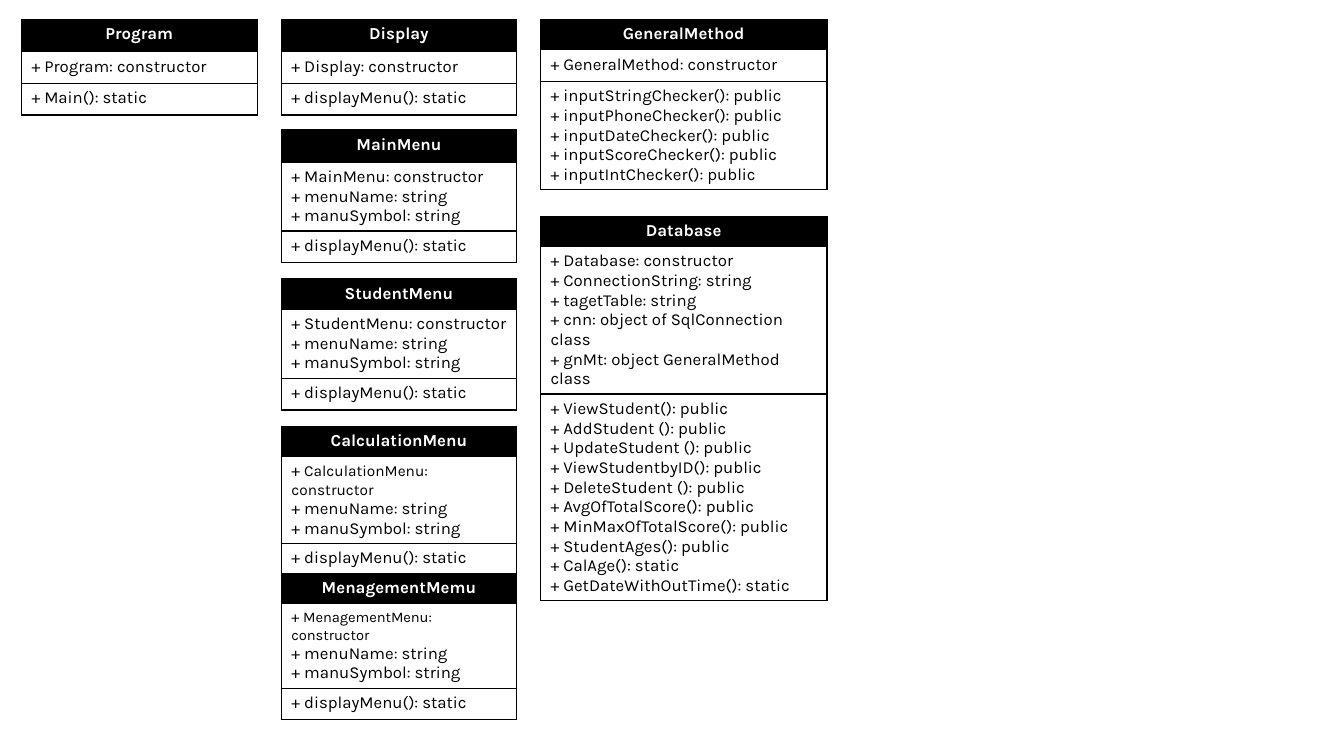
from copy import deepcopy
from dataclasses import dataclass

from lxml import etree
from pptx import Presentation
from pptx.dml.color import RGBColor
from pptx.enum.text import PP_ALIGN
from pptx.oxml.ns import qn
from pptx.util import Cm, Pt

CENTER, LEFT = PP_ALIGN.CENTER, PP_ALIGN.LEFT


@dataclass(frozen=True)
class Theme:
    font: str = "Karla"
    ink: str = "000000"
    paper: str = "FFFFFF"
    size: float = 12
    border: float = 1


THEME = Theme()

# Column of the diagram: left edge and width in cm
PROGRAM_COL = (0.54, 5.94)
MENU_COL = (7.09, 5.93)
SERVICE_COL = (13.62, 7.22)

# Row heights in cm
TALL_HEADER, SHORT_HEADER = 0.81, 0.76
MIN_ROW, LINE, PADDING = 0.8, 0.49, 0.25

TOP = 0.49
DISPLAY_METHOD = ["+ displayMenu(): static"]

# Menu class: name, constructor, sizes of its "+ " and its text, top in cm, header height
MENUS = [
    ("MainMenu", "MainMenu", (12, 12), 3.27, TALL_HEADER),
    ("StudentMenu", "StudentMenu", (12, 12), 7.03, SHORT_HEADER),
    ("CalculationMenu", "CalculationMenu", (12, 11), 10.74, SHORT_HEADER),
    ("MenagementMemu", "MenagementMenu", (11, 10.5), 14.45, SHORT_HEADER),
]

# One string per paragraph; \v is a line break inside it
CHECKER_METHODS = [
    "+ inputStringChecker(): public",
    "+ inputPhoneChecker(): public",
    "+ inputDateChecker(): public",
    "+ inputScoreChecker(): public\v+ inputIntChecker(): public",
]
DATABASE_FIELDS = [
    "+ Database: constructor",
    "+ ConnectionString: string",
    "+ tagetTable: string",
    "+ cnn: object of SqlConnection class",
    "+ gnMt: object GeneralMethod class",
]
DATABASE_METHODS = [
    "+ ViewStudent(): public",
    "+ AddStudent (): public",
    "+ UpdateStudent (): public",
    "+ ViewStudentbyID(): public\v+ DeleteStudent (): public",
    "+ AvgOfTotalScore(): public\v+ MinMaxOfTotalScore(): public"
    "\v+ StudentAges(): public\v+ CalAge(): static",
    "+ GetDateWithOutTime(): static",
]


def set_borders(cell):
    tcPr = cell._tc.get_or_add_tcPr()
    for side in ("lnL", "lnR", "lnT", "lnB"):
        ln = etree.SubElement(tcPr, qn(f"a:{side}"), w=str(Pt(THEME.border)))
        fill = etree.SubElement(ln, qn("a:solidFill"))
        etree.SubElement(fill, qn("a:srgbClr"), val=THEME.ink)


def format_run(r, size, header):
    r.font.name = THEME.font
    r.font.size = Pt(size)
    r.font.bold = header
    r.font.color.rgb = RGBColor.from_string(THEME.paper if header else THEME.ink)


def style_breaks(p):
    """Give each line break the format of the run that follows it."""
    for br in p._p.findall(qn("a:br")):
        br.append(deepcopy(br.getnext().find(qn("a:rPr"))))


def fill_cell(cell, lines, header=False):
    set_borders(cell)
    cell.fill.solid()
    cell.fill.fore_color.rgb = RGBColor.from_string(THEME.ink if header else THEME.paper)
    cell.text_frame.text = "\n".join(lines)
    for p in cell.text_frame.paragraphs:
        p.alignment = CENTER if header else LEFT
        for r in p.runs:
            format_run(r, THEME.size, header)
        style_breaks(p)


def resize_constructor(cell, sizes):
    """Split the first line into its plus sign and its text, each with its size."""
    plus = cell.text_frame.paragraphs[0].runs[0]
    plus_size, text_size = sizes
    rest = deepcopy(plus._r)
    plus._r.addnext(rest)
    text = cell.text_frame.paragraphs[0].runs[1]
    text.text = plus.text[2:]
    plus.text = "+ "
    plus.font.size, text.font.size = Pt(plus_size), Pt(text_size)


def add_class(slide, column, top, name, fields, methods, header_height=SHORT_HEADER):
    """Draw a class box: name, fields and methods, one table row each."""
    left, width = column
    heights = [header_height]
    for paragraphs in (fields, methods):
        count = sum(text.count("\v") + 1 for text in paragraphs)
        heights.append(max(MIN_ROW, LINE * count + PADDING))
    table = slide.shapes.add_table(
        3, 1, Cm(left), Cm(top), Cm(width), Cm(sum(heights))).table
    table.horz_banding = False
    for row, height in zip(table.rows, heights):
        row.height = Cm(height)
    fill_cell(table.cell(0, 0), [name], header=True)
    fill_cell(table.cell(1, 0), fields)
    fill_cell(table.cell(2, 0), methods)
    return table


def main():
    prs = Presentation()
    prs.slide_width, prs.slide_height = Cm(33.87), Cm(19.05)
    slide = prs.slides.add_slide(prs.slide_layouts[6])

    add_class(slide, PROGRAM_COL, TOP, "Program", ["+ Program: constructor"],
              ["+ Main(): static"], TALL_HEADER)
    add_class(slide, MENU_COL, TOP, "Display", ["+ Display: constructor"],
              DISPLAY_METHOD, TALL_HEADER)
    for name, constructor, sizes, top, header_height in MENUS:
        fields = [f"+ {constructor}: constructor\v+ menuName: string",
                  "+ manuSymbol: string"]
        table = add_class(slide, MENU_COL, top, name, fields, DISPLAY_METHOD,
                          header_height)
        if sizes != (THEME.size, THEME.size):
            resize_constructor(table.cell(1, 0), sizes)
    add_class(slide, SERVICE_COL, TOP, "GeneralMethod",
              ["+ GeneralMethod: constructor"], CHECKER_METHODS)
    add_class(slide, SERVICE_COL, 5.45, "Database", DATABASE_FIELDS, DATABASE_METHODS)

    prs.save("out.pptx")


if __name__ == "__main__":
    main()
